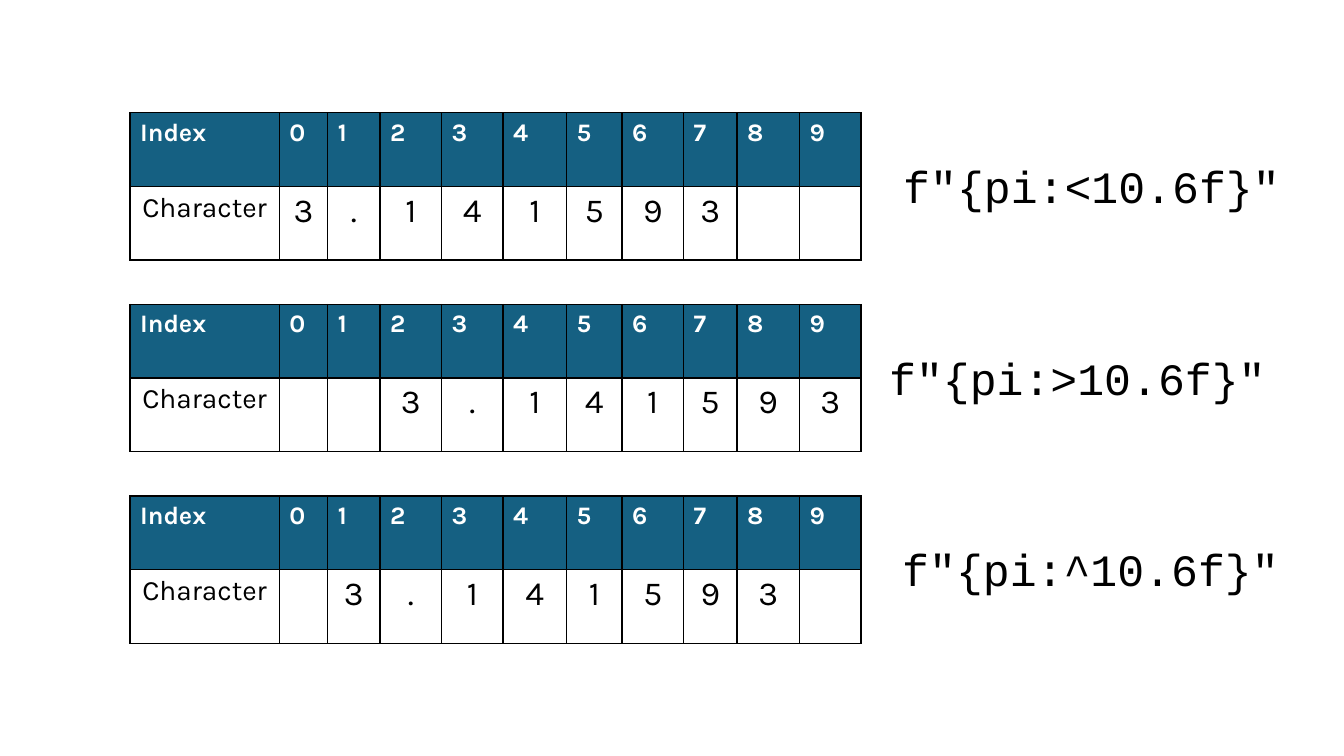
import math

from lxml import etree
from pptx import Presentation
from pptx.dml.color import RGBColor
from pptx.enum import text
from pptx.oxml import ns
from pptx.util import Inches, Pt

BLUE = RGBColor(0x15, 0x60, 0x82)
WHITE = RGBColor(0xFF, 0xFF, 0xFF)
BLACK = RGBColor(0x00, 0x00, 0x00)
COLS = [1.48, 0.48, 0.52, 0.61, 0.61, 0.63, 0.55, 0.61, 0.53, 0.62, 0.61]
ROW = 0.73
LEFT, TOP, STEP = 1.29, 1.12, 1.9
# Alignment sign, left and width of its label
ALIGNS = [("<", 8.86, 4.18), (">", 8.72, 4.32), ("^", 8.85, 4.32)]


def add_run(para, words, font, size, color, bold=False):
    run = para.add_run()
    run.text = words
    run.font.name = font
    run.font.size = Pt(size)
    run.font.color.rgb = color
    run.font.bold = bold


def add_edges(cell):
    """Draw a thin black border on all four sides of a cell."""
    props = cell._tc.get_or_add_tcPr()
    for side in ("lnL", "lnR", "lnT", "lnB"):
        line = etree.SubElement(props, ns.qn(f"a:{side}"), w=str(Pt(1)))
        fill = etree.SubElement(line, ns.qn("a:solidFill"))
        etree.SubElement(fill, ns.qn("a:srgbClr"), val=str(BLACK))


def style_cell(cell, fill):
    add_edges(cell)
    cell.fill.solid()
    cell.fill.fore_color.rgb = fill


def add_grid(slide, left, top, chars):
    """Table of the index and character at each place of a string."""
    frame = slide.shapes.add_table(2, len(COLS), Inches(left), Inches(top),
                                   Inches(sum(COLS)), Inches(2 * ROW))
    table = frame.table
    for row in table.rows:
        row.height = Inches(ROW)
    heads = ["Index", *map(str, range(len(chars)))]
    for col, (width, head, char) in enumerate(zip(COLS, heads, ["Character", *chars])):
        table.columns[col].width = Inches(width)
        upper, lower = table.cell(0, col), table.cell(1, col)
        style_cell(upper, BLUE)
        style_cell(lower, WHITE)
        add_run(upper.text_frame.paragraphs[0], head, "Karla", 18, WHITE, True)
        para = lower.text_frame.paragraphs[0]
        para.alignment = text.PP_ALIGN.CENTER
        if char != " ":
            add_run(para, char, "Karla", 24 if col else 20, BLACK)


def add_label(slide, left, top, width, code):
    box = slide.shapes.add_textbox(Inches(left), Inches(top),
                                   Inches(width), Inches(0.64))
    frame = box.text_frame
    frame.word_wrap = True
    frame.auto_size = text.MSO_AUTO_SIZE.SHAPE_TO_FIT_TEXT
    add_run(frame.paragraphs[0], code, "Courier New", 32, BLACK)


def main():
    deck = Presentation()
    deck.slide_width, deck.slide_height = Inches(13.33), Inches(7.5)
    slide = deck.slides.add_slide(deck.slide_layouts[6])
    for num, (sign, left, width) in enumerate(ALIGNS):
        top = TOP + num * STEP
        style = f"{sign}10.6f"
        add_grid(slide, LEFT, top, format(math.pi, style))
        add_label(slide, left, top + 0.41, width, f'f"{{pi:{style}}}"')
    deck.save("out.pptx")


if __name__ == "__main__":
    main()
